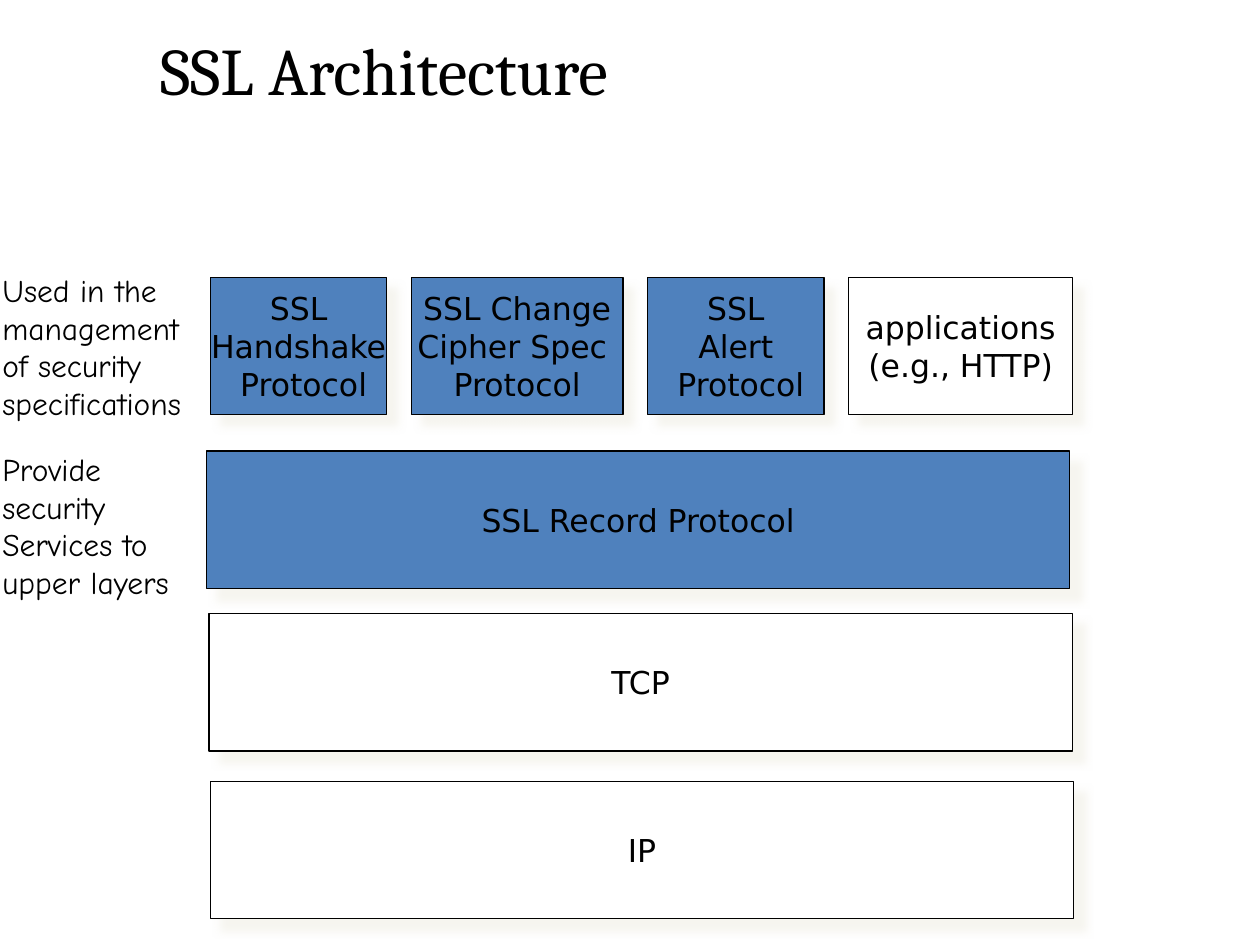
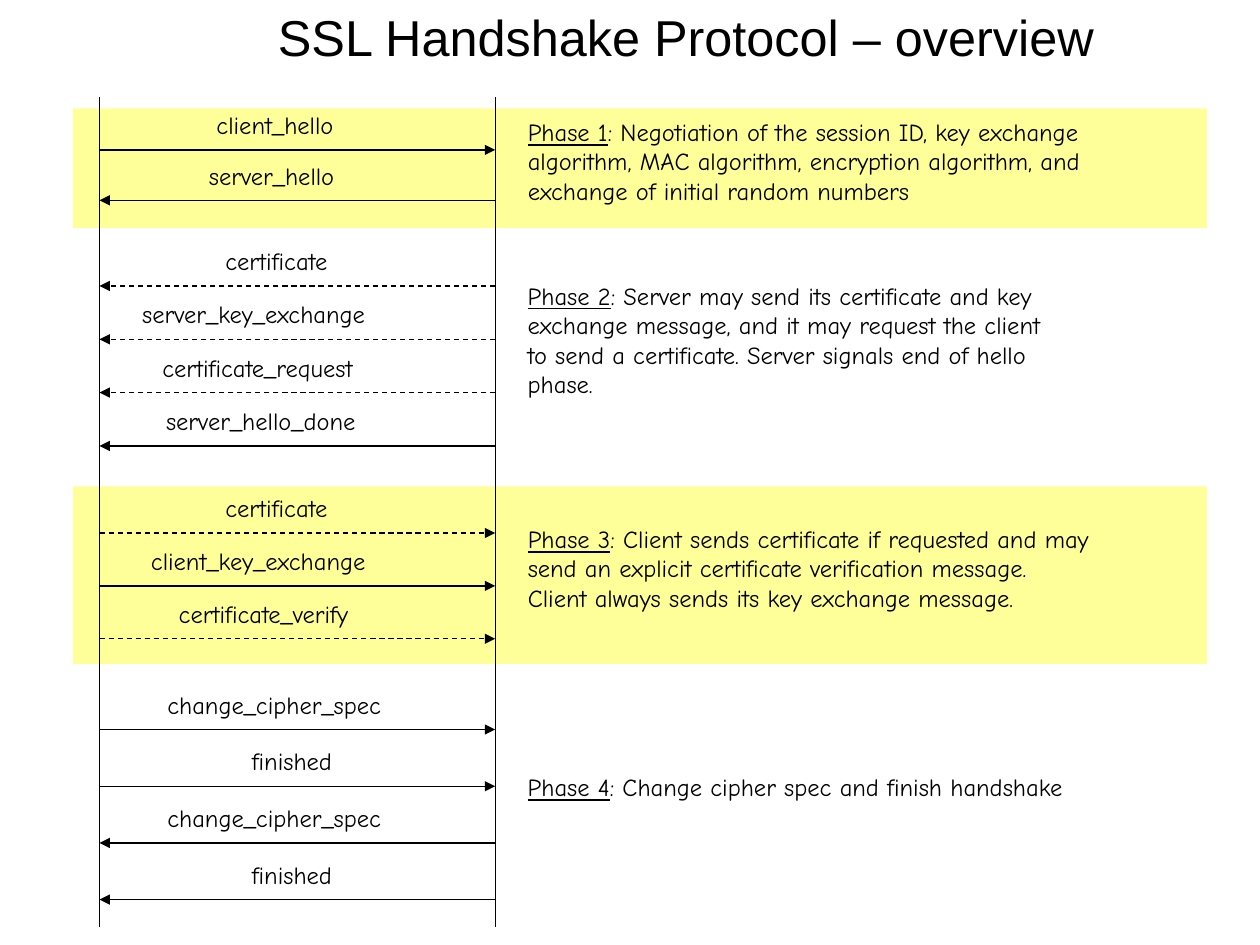
"""Build two slides on the SSL protocol stack and its handshake."""
from dataclasses import dataclass
from typing import Optional

from lxml import etree
from pptx import Presentation
from pptx.dml.color import RGBColor
from pptx.enum.dml import MSO_LINE
from pptx.enum.shapes import MSO_CONNECTOR, MSO_SHAPE
from pptx.enum.text import MSO_ANCHOR, MSO_AUTO_SIZE, PP_ALIGN
from pptx.oxml.ns import qn
from pptx.util import Emu, Inches, Pt

RECT = MSO_SHAPE.RECTANGLE
STRAIGHT = MSO_CONNECTOR.STRAIGHT
DASH = MSO_LINE.DASH
TOP, MIDDLE = MSO_ANCHOR.TOP, MSO_ANCHOR.MIDDLE
LEFT, CENTER = PP_ALIGN.LEFT, PP_ALIGN.CENTER
FIT, FIXED = MSO_AUTO_SIZE.SHAPE_TO_FIT_TEXT, MSO_AUTO_SIZE.NONE

WIDTH, HEIGHT = Inches(10), Inches(7.5)
COLS, ROWS = 100, 75
TITLE_ONLY = 5


@dataclass(frozen=True)
class Face:
    font: str
    size: float


@dataclass(frozen=True)
class Theme:
    ink: str = "000000"
    blue: str = "4F81BD"
    white: str = "FFFFFF"
    band: str = "FFFF99"
    shade: str = "EEECE1"
    line: float = 0.75
    head: Face = Face("Cambria", 38)
    topic: Face = Face("Arial", 28.8)
    block: Face = Face("DejaVu Sans", 18)
    aside: Face = Face("Comic Neue", 18)
    note: Face = Face("Comic Neue", 14)


@dataclass(frozen=True)
class Box:
    """A place in grid columns and rows."""
    x: float
    y: float
    w: float
    h: float

    def place(self) -> tuple:
        return col(self.x), row(self.y), col(self.w), row(self.h)


@dataclass(frozen=True)
class Card:
    text: str
    w: float
    fill: str


@dataclass(frozen=True)
class Layer:
    text: str
    x: float
    y: float
    fill: str


@dataclass(frozen=True)
class Call:
    """A message with its label's place and its way."""
    text: str
    x: float
    w: float
    right: bool = False
    dashed: bool = False


@dataclass(frozen=True)
class Phase:
    """A group of evenly spaced messages and its note."""
    lead: str
    rest: str
    spot: Box
    first: float
    step: float
    calls: tuple
    band: Optional[Box] = None


THEME = Theme()

CARD_X, CARD_Y, CARD_GAP = 16.7, 22, 1.95
BLOCK_H, LAYER_W = 10.9, 68.5
CARDS = (
    Card("SSL\nHandshake\n Protocol", 14, THEME.blue),
    Card("SSL Change\nCipher Spec \nProtocol", 16.8, THEME.blue),
    Card("SSL\nAlert\n Protocol", 14, THEME.blue),
    Card("applications\n(e.g., HTTP)", 17.8, THEME.white),
)
LAYERS = (
    Layer("SSL Record Protocol", 16.4, 35.8, THEME.blue),
    Layer("TCP", 16.6, 48.7, THEME.white),
    Layer("IP", 16.7, 62, THEME.white),
)
ASIDES = (
    ("Provide\nsecurity\nServices to\nupper layers", Box(-0.8, 35.2, 16.5, 13.1)),
    ("Used in the\nmanagement\nof security\nspecifications", Box(-0.8, 21, 18.3, 13.1)),
)

CLIENT, SERVER = 7.9, 39.3
LIFE_TOP, LIFE_END = 7.7, 73.6
LABEL_UP, LABEL_H = 3.65, 3.4
PHASES = (
    Phase("Phase 1",
          ": Negotiation of the session ID, key exchange\n"
          "algorithm, MAC algorithm, encryption algorithm, and\n"
          "exchange of initial random numbers",
          Box(40.9, 8.8, 50.5, 8.1), 11.9, 4,
          (Call("client_hello", 16.2, 12.7, right=True),
           Call("server_hello", 15.6, 13.5)),
          Box(5.8, 8.6, 90, 9.5)),
    Phase("Phase 2",
          ": Server may send its certificate and key\n"
          "exchange message, and it may request the client\n"
          "to send a certificate. Server signals end of hello\n"
          "phase.",
          Box(40.9, 21.8, 46.6, 10.4), 22.7, 4.23,
          (Call("certificate", 16.9, 12.1, dashed=True),
           Call("server_key_exchange", 10.3, 22.1, dashed=True),
           Call("certificate_request", 11.9, 20.3, dashed=True),
           Call("server_hello_done", 12.2, 19))),
    Phase("Phase 3",
          ": Client sends certificate if requested and may\n"
          "send an explicit certificate verification message.\n"
          "Client always sends its key exchange message.",
          Box(40.9, 41.1, 51.8, 8.1), 42.3, 4.2,
          (Call("certificate", 16.9, 12.1, right=True, dashed=True),
           Call("client_key_exchange", 11, 21.3, right=True),
           Call("certificate_verify", 13.2, 18.9, right=True, dashed=True)),
          Box(5.8, 38.6, 90, 14.1)),
    Phase("Phase 4", ": Change cipher spec and finish handshake",
          Box(40.9, 60.8, 47.4, 3.4), 57.9, 4.5,
          (Call("change_cipher_spec", 12.3, 20.6, right=True),
           Call("finished", 19, 9.5, right=True),
           Call("change_cipher_spec", 12.3, 20.6),
           Call("finished", 19, 9.5))),
)


def col(n: float) -> Emu:
    return Emu(round(WIDTH * n / COLS))


def row(n: float) -> Emu:
    return Emu(round(HEIGHT * n / ROWS))


def rgb(code: str) -> RGBColor:
    return RGBColor.from_string(code)


def style(frame, face: Face, align=LEFT) -> None:
    for para in frame.paragraphs:
        para.alignment = align
        for run in para.runs:
            run.font.name = face.font
            run.font.size = Pt(face.size)
            run.font.color.rgb = rgb(THEME.ink)


def start(deck, text: str, box: Box, face: Face, align, anchor):
    """Add a slide and set its title."""
    slide = deck.slides.add_slide(deck.slide_layouts[TITLE_ONLY])
    title = slide.shapes.title
    title.left, title.top, title.width, title.height = box.place()
    frame = title.text_frame
    frame.text = text
    frame.auto_size = FIXED
    frame.vertical_anchor = anchor
    style(frame, face, align)
    return slide


def panel(slide, box: Box, fill: str):
    shape = slide.shapes.add_shape(RECT, *box.place())
    shape.shadow.inherit = False
    shape.fill.solid()
    shape.fill.fore_color.rgb = rgb(fill)
    shape.line.fill.background()
    return shape


def shade(shape) -> None:
    """Cast a soft shadow down and to the right."""
    effects = shape._element.spPr.find(qn("a:effectLst"))
    cast = etree.SubElement(
        effects, qn("a:outerShdw"), blurRad=str(Pt(5)), dist=str(Pt(8.5)),
        dir="2700000", algn="ctr", rotWithShape="0")
    tone = etree.SubElement(cast, qn("a:srgbClr"), val=THEME.shade)
    etree.SubElement(tone, qn("a:alpha"), val="50000")


def block(slide, text: str, box: Box, fill: str) -> None:
    shape = panel(slide, box, fill)
    shape.line.color.rgb = rgb(THEME.ink)
    shape.line.width = Pt(THEME.line)
    shade(shape)
    frame = shape.text_frame
    frame.text = text
    frame.word_wrap = False
    frame.vertical_anchor = MIDDLE
    style(frame, THEME.block, CENTER)


def label(slide, text: str, box: Box, face: Face):
    frame = slide.shapes.add_textbox(*box.place()).text_frame
    frame.text = text
    frame.word_wrap = False
    frame.auto_size = FIT
    style(frame, face)
    return frame


def rule(slide, x: float, y: float, to_x: float, to_y: float,
         arrow: bool = False, dashed: bool = False) -> None:
    """Draw a line, with an arrowhead at its end if asked."""
    wire = slide.shapes.add_connector(STRAIGHT, col(x), row(y), col(to_x), row(to_y))
    wire.line.color.rgb = rgb(THEME.ink)
    wire.line.width = Pt(THEME.line)
    if dashed:
        wire.line.dash_style = DASH
    props = wire._element.spPr
    if arrow:
        etree.SubElement(props.find(qn("a:ln")), qn("a:tailEnd"), type="triangle")
    etree.SubElement(props, qn("a:effectLst"))


def note(slide, phase: Phase) -> None:
    """Write a phase's note with its lead underlined."""
    frame = label(slide, phase.lead + phase.rest, phase.spot, THEME.note)
    para = frame.paragraphs[0]
    rest = para.text[len(phase.lead):]
    para.text = phase.lead
    para.runs[0].font.underline = True
    para.add_run().text = rest
    style(frame, THEME.note)


def stack(deck) -> None:
    """Draw the protocol layers."""
    slide = start(deck, "SSL Architecture", Box(11.7, 1.8, 84.2, 7.4),
                  THEME.head, LEFT, TOP)
    x = CARD_X
    for card in CARDS:
        block(slide, card.text, Box(x, CARD_Y, card.w, BLOCK_H), card.fill)
        x += card.w + CARD_GAP
    for layer in LAYERS:
        block(slide, layer.text, Box(layer.x, layer.y, LAYER_W, BLOCK_H), layer.fill)
    for text, box in ASIDES:
        label(slide, text, box, THEME.aside)


def shake(deck) -> None:
    """Draw the handshake's messages in their phases."""
    slide = start(deck, "SSL Handshake Protocol – overview ", Box(10, 0, 90, 5.7),
                  THEME.topic, CENTER, MIDDLE)
    for phase in PHASES:
        if phase.band:
            panel(slide, phase.band, THEME.band)
    for x in (SERVER, CLIENT):
        rule(slide, x, LIFE_TOP, x, LIFE_END)
    for phase in PHASES:
        for i, call in enumerate(phase.calls):
            y = phase.first + i * phase.step
            ends = (CLIENT, SERVER) if call.right else (SERVER, CLIENT)
            rule(slide, ends[0], y, ends[1], y, True, call.dashed)
            label(slide, call.text, Box(call.x, y - LABEL_UP, call.w, LABEL_H),
                  THEME.note)
        note(slide, phase)


def main() -> None:
    deck = Presentation()
    deck.slide_width, deck.slide_height = WIDTH, HEIGHT
    stack(deck)
    shake(deck)
    deck.save("out.pptx")


if __name__ == "__main__":
    main()
